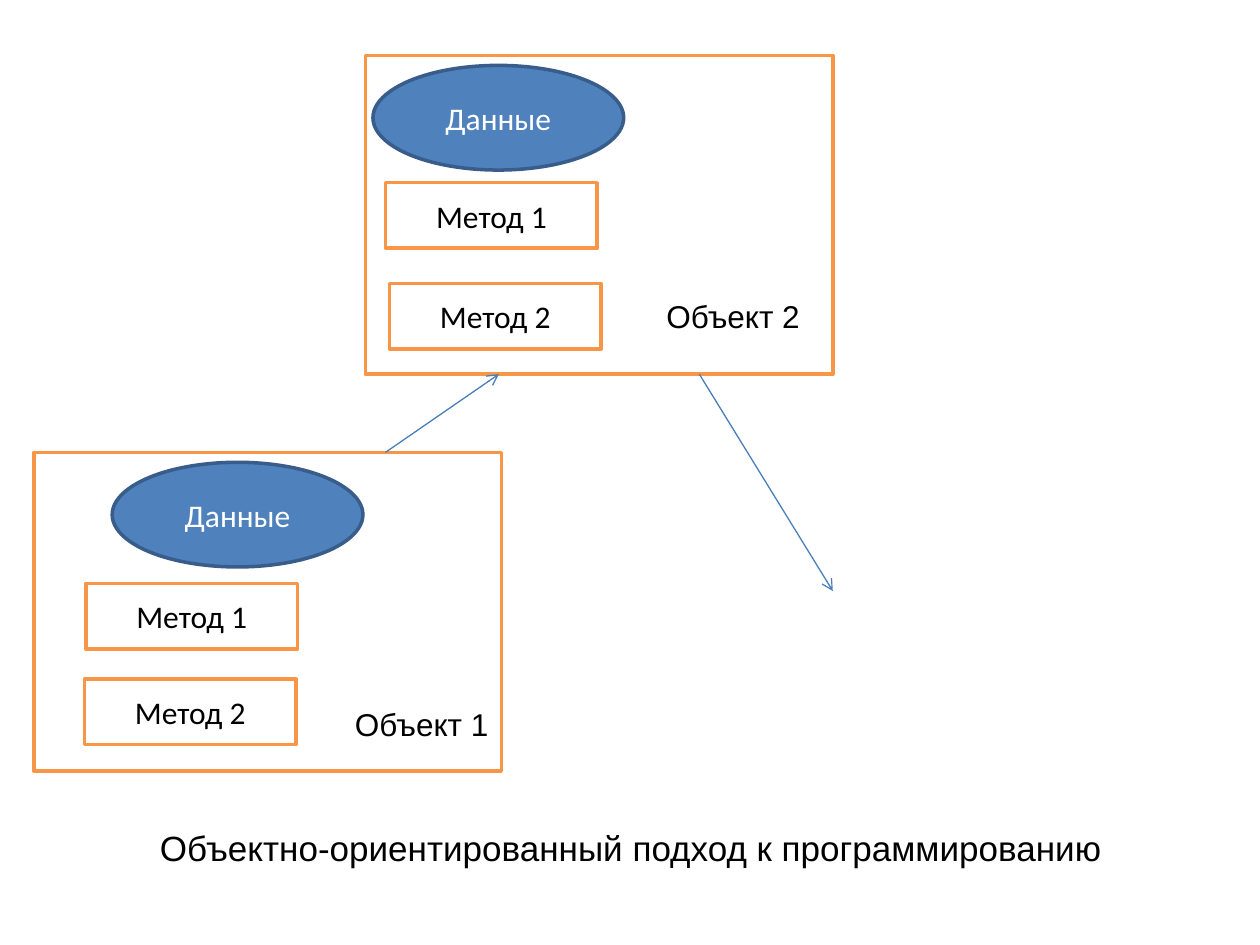
from pptx import Presentation
from pptx import util as u
from pptx.dml.color import RGBColor
from pptx.enum import shapes, text
from pptx.oxml.ns import qn
from lxml import etree

TITLE = "Объектно-ориентированный подход к программированию"
TITLE_AREA = (84.2, 468.7, 554.4, 31.7)
OBJECTS = [
    {"name": "Объект 1", "frame": (19.4, 258.5), "data": (64.1, 264.2),
     "methods": [(49, 333.4), (48.2, 388.1)], "label": (195.8, 399.6)},
    {"name": "Объект 2", "frame": (208.8, 31.7), "data": (213.1, 37.4),
     "methods": [(220.3, 104.4), (222.5, 162)], "label": (373.7, 166.3)},
]
ARROWS = [(220.3, 258.5, 285.1, 213.8), (399.6, 213.8, 475.9, 337.7)]
FRAME_SIZE = (267.1, 182.2)
DATA_SIZE = (143.3, 59.8)
METHOD_SIZE = (121, 37.4)
LABEL_SIZE = (90.7, 28.8)
RECTANGLE = shapes.MSO_SHAPE.RECTANGLE
OVAL = shapes.MSO_SHAPE.OVAL
ORANGE_BOX = {"fill": "FFFFFF", "line": "F79646"}
BLUE_BOX = {"fill": "4F81BD", "line": "385D8A"}
SHAPE_TEXT = {"name": "Calibri", "size": u.Pt(18)}
LABEL_TEXT = {"name": "Arial", "size": u.Pt(18)}
TITLE_TEXT = {"name": "Arial", "size": u.Pt(20)}
CENTRED = {"vertical_anchor": text.MSO_ANCHOR.MIDDLE, "word_wrap": True}
FITTED = {"vertical_anchor": text.MSO_ANCHOR.TOP, "word_wrap": False,
          "auto_size": text.MSO_AUTO_SIZE.SHAPE_TO_FIT_TEXT}


def points(values):
    return [u.Pt(value) for value in values]


def paint(color_format, color):
    color_format.rgb = RGBColor.from_string(color)


def apply(target, values):
    for name, value in values.items():
        setattr(target, name, value)


def write(box, words, frame_format, font_format, align, color="000000"):
    apply(box.text_frame, frame_format)
    para = box.text_frame.paragraphs[0]
    para.alignment = align
    span = para.add_run()
    span.text = words
    apply(span.font, font_format)
    paint(span.font.color, color)


def add_box(page, kind, position, size, colors):
    box = page.shapes.add_shape(kind, *points(position + size))
    box.shadow.inherit = False
    box.fill.solid()
    paint(box.fill.fore_color, colors["fill"])
    paint(box.line.color, colors["line"])
    box.line.width = u.Pt(2)
    return box


def add_object(page, item):
    centre = text.PP_ALIGN.CENTER
    add_box(page, RECTANGLE, item["frame"], FRAME_SIZE, ORANGE_BOX)
    data = add_box(page, OVAL, item["data"], DATA_SIZE, BLUE_BOX)
    write(data, "Данные", CENTRED, SHAPE_TEXT, centre, "FFFFFF")
    for number, position in enumerate(item["methods"], 1):
        method = add_box(page, RECTANGLE, position, METHOD_SIZE, ORANGE_BOX)
        write(method, f"Метод {number}", CENTRED, SHAPE_TEXT, centre)
    label = page.shapes.add_textbox(*points(item["label"] + LABEL_SIZE))
    write(label, item["name"], FITTED, LABEL_TEXT, text.PP_ALIGN.LEFT)


def add_arrow(page, ends):
    arrow = page.shapes.add_connector(shapes.MSO_CONNECTOR.STRAIGHT, *points(ends))
    paint(arrow.line.color, "4A7EBB")
    arrow.line.width = u.Pt(0.75)
    etree.SubElement(arrow.line._get_or_add_ln(), qn("a:tailEnd"), type="arrow")
    etree.SubElement(arrow._element.spPr, qn("a:effectLst"))


def main():
    deck = Presentation()
    deck.slide_width, deck.slide_height = points((720, 540))
    page = deck.slides.add_slide(deck.slide_layouts[5])
    title = page.shapes.title
    apply(title, dict(zip(("left", "top", "width", "height"), points(TITLE_AREA))))
    write(title, TITLE, FITTED, TITLE_TEXT, text.PP_ALIGN.LEFT)
    for item in OBJECTS:
        add_object(page, item)
    for ends in ARROWS:
        add_arrow(page, ends)
    deck.save("out.pptx")


if __name__ == "__main__":
    main()
